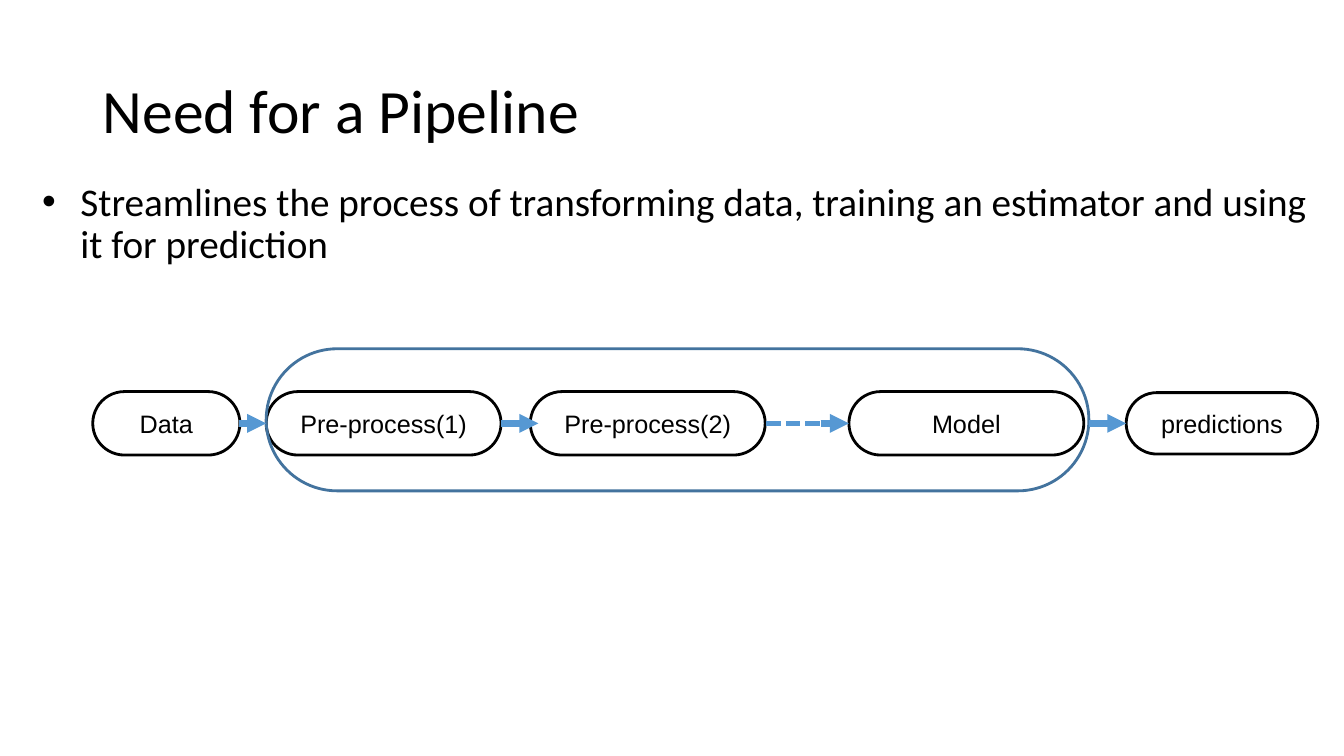
from pptx import Presentation
from pptx.dml.color import RGBColor
from pptx.enum import dml, shapes, text
from pptx.oxml.ns import qn
from pptx.util import Inches, Pt
from lxml import etree

BLACK = RGBColor(0, 0, 0)
WHITE = RGBColor(255, 255, 255)
ARROW = RGBColor(0x56, 0x98, 0xD3)
FRAME = RGBColor(0x43, 0x73, 0x9E)

TITLE = "Need for a Pipeline"
BULLET = ("Streamlines the process of transforming data, training an "
          "estimator and using it for prediction")
MID = 4.2
STAGES = [
    ("Data", 0.92, 1.46, 0.63),
    ("Pre-process(1)", 2.64, 2.33, 0.63),
    ("Pre-process(2)", 5.26, 2.33, 0.63),
    ("Model", 8.42, 2.33, 0.63),
    ("predictions", 11.17, 1.9, 0.61),
]
PIPELINE = (2.64, 3.46, 8.16, 1.41)
ARROWS = [(2.37, 2.64), (4.97, 5.34), (8.14, 8.42), (10.8, 11.17)]
DASH = (7.6, 8.14)

prs = Presentation()
prs.slide_width, prs.slide_height = Inches(13.33), Inches(7.5)
s = prs.slides.add_slide(prs.slide_layouts[6])


def write(sp, words, font, size, align, anchor):
    tf = sp.text_frame
    tf.word_wrap = True
    tf.vertical_anchor = anchor
    p = tf.paragraphs[0]
    p.text = words
    p.alignment = align
    f = p.runs[0].font
    f.name, f.size, f.color.rgb = font, Pt(size), BLACK
    return p


def add_text(box, words, size, anchor):
    sp = s.shapes.add_textbox(*map(Inches, box))
    p = write(sp, words, "Calibri", size, text.PP_ALIGN.LEFT, anchor)
    p.line_spacing = 0.9
    return p


def add_pill(box, color, filled):
    sp = s.shapes.add_shape(shapes.MSO_SHAPE.ROUNDED_RECTANGLE, *map(Inches, box))
    sp.adjustments[0] = 0.5
    sp.shadow.inherit = False
    sp.line.color.rgb, sp.line.width = color, Pt(2)
    if filled:
        sp.fill.solid()
        sp.fill.fore_color.rgb = WHITE
    else:
        sp.fill.background()
    return sp


def add_line(x1, x2, width):
    c = s.shapes.add_connector(shapes.MSO_CONNECTOR.STRAIGHT, Inches(x1),
                               Inches(MID), Inches(x2), Inches(MID))
    c.line.color.rgb, c.line.width = ARROW, Pt(width)
    etree.SubElement(c._element.spPr, qn("a:effectLst"))
    return c


add_text((0.92, 0.4, 11.5, 1.45), TITLE, 44, text.MSO_ANCHOR.MIDDLE)
p = add_text((0.2, 1.76, 13.13, 4.8), BULLET, 28, text.MSO_ANCHOR.TOP)
p.space_before = Pt(10)
pPr = p._p.get_or_add_pPr()
pPr.set("marL", str(Inches(0.5)))
pPr.set("indent", str(Inches(-0.38)))
etree.SubElement(pPr, qn("a:buFont"), typeface="Arial")
etree.SubElement(pPr, qn("a:buChar"), char="•")

for name, x, w, h in STAGES:
    sp = add_pill((x, MID - h / 2, w, h), BLACK, True)
    write(sp, name, "Arial", 18, text.PP_ALIGN.CENTER, text.MSO_ANCHOR.MIDDLE)

add_pill(PIPELINE, FRAME, False)

for x1, x2 in ARROWS:
    ln = add_line(x1, x2, 4.5).line._get_or_add_ln()
    etree.SubElement(ln, qn("a:tailEnd"), type="triangle")

add_line(*DASH, 3.5).line.dash_style = dml.MSO_LINE.SQUARE_DOT

prs.save("out.pptx")
